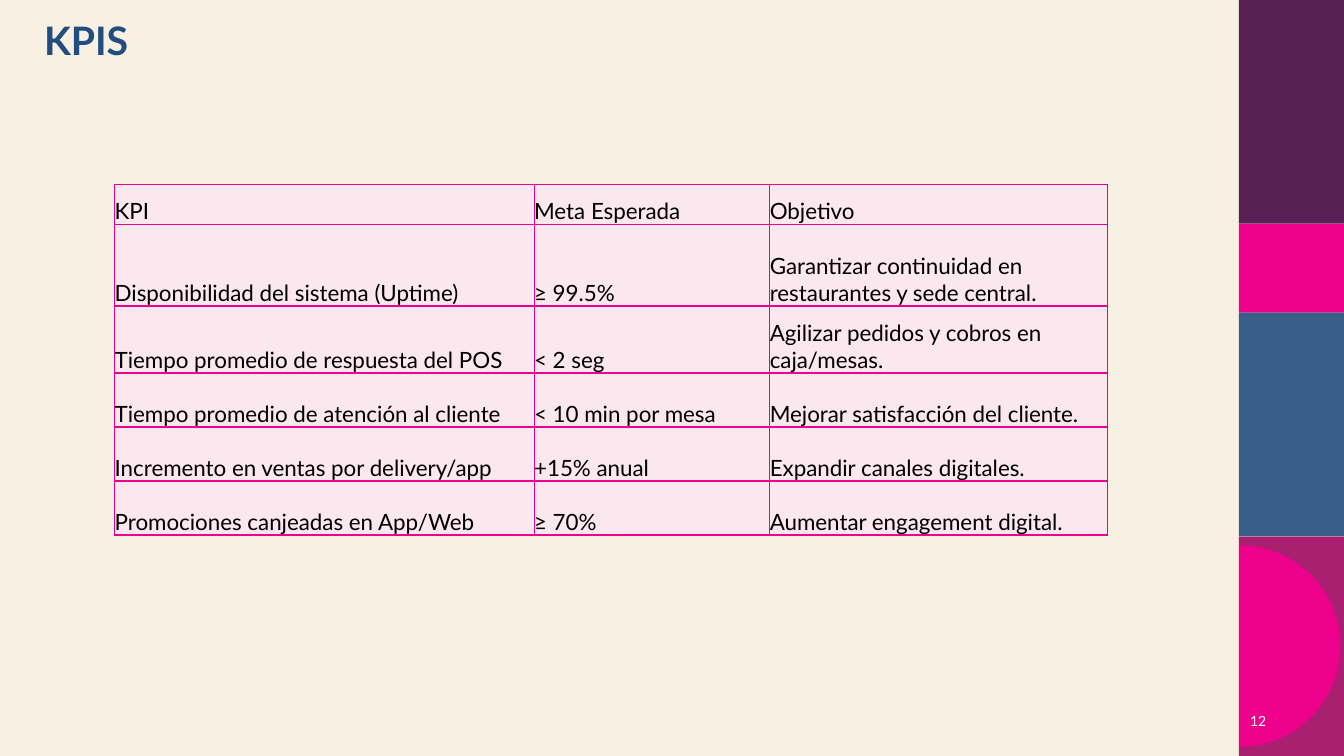
from dataclasses import dataclass
from math import cos, pi, sin

from lxml import etree
from pptx import Presentation
from pptx.dml.color import RGBColor
from pptx.enum.shapes import MSO_SHAPE
from pptx.enum.text import MSO_ANCHOR, PP_ALIGN
from pptx.oxml.ns import qn
from pptx.util import Cm, Pt

RECTANGLE = MSO_SHAPE.RECTANGLE
TOP, MIDDLE, BOTTOM = MSO_ANCHOR.TOP, MSO_ANCHOR.MIDDLE, MSO_ANCHOR.BOTTOM
LEFT, RIGHT = PP_ALIGN.LEFT, PP_ALIGN.RIGHT

SIDE_LEFT, SIDE_WIDTH = 31.22, 2.65
COLUMN_WIDTHS = [10.57, 5.94, 8.5]
ROW_HEIGHTS = [1.02, 2.05, 1.69, 1.36, 1.36, 1.36]
KPI_ROWS = [
    ("KPI", "Meta Esperada", "Objetivo"),
    ("Disponibilidad del sistema (Uptime)", "≥ 99.5%",
     "Garantizar continuidad en restaurantes y sede central."),
    ("Tiempo promedio de respuesta del POS", "< 2 seg",
     "Agilizar pedidos y cobros en caja/mesas."),
    ("Tiempo promedio de atención al cliente", "< 10 min por mesa",
     "Mejorar satisfacción del cliente."),
    ("Incremento en ventas por delivery/app", "+15% anual", "Expandir canales digitales."),
    ("Promociones canjeadas en App/Web", "≥ 70%", "Aumentar engagement digital."),
]


@dataclass(frozen=True)
class Theme:
    font: str = "Lato"
    background: str = "F8F0E3"
    purple: str = "582156"
    pink: str = "EC008C"
    blue: str = "385E88"
    berry: str = "AA2070"
    cell: str = "FBE7EE"
    title: str = "224E7F"
    black: str = "000000"
    white: str = "FFFFFF"
    title_size: int = 28
    table_size: int = 16
    number_size: int = 10


class SlideBuilder:
    """Draws styled elements on the current slide."""

    def __init__(self, slide, theme):
        self.slide, self.theme = slide, theme

    def fill(self, target, color):
        target.fill.solid()
        target.fill.fore_color.rgb = RGBColor.from_string(color)

    def paint(self, shape, color):
        self.fill(shape, color)
        shape.line.fill.background()
        shape.shadow.inherit = False

    def band(self, top, height, color):
        box = self.slide.shapes.add_shape(
            RECTANGLE, Cm(SIDE_LEFT), Cm(top), Cm(SIDE_WIDTH), Cm(height))
        self.paint(box, color)

    def half_circle(self, left, middle, radius, color, steps=90):
        angles = [pi * step / steps - pi / 2 for step in range(steps + 1)]
        points = [(Cm(left + radius * cos(angle)), Cm(middle + radius * sin(angle)))
                  for angle in angles]
        outline = self.slide.shapes.build_freeform(*points[0])
        outline.add_line_segments(points[1:], close=True)
        self.paint(outline.convert_to_shape(), color)

    def add_span(self, para, text, size, color, bold=False, **layout):
        span = para.add_run()
        span.text = text
        span.font.color.rgb = RGBColor.from_string(color)
        font_format = {"name": self.theme.font, "size": Pt(size), "bold": bold}
        for target, values in ((span.font, font_format), (para, layout)):
            for name, value in values.items():
                setattr(target, name, value)

    def text(self, place, text, size, color, anchor=TOP, **style):
        frame = self.slide.shapes.add_textbox(*map(Cm, place)).text_frame
        frame.word_wrap = True
        frame.vertical_anchor = anchor
        self.add_span(frame.paragraphs[0], text, size, color, **style)

    def border(self, cell, color, width):
        properties = cell._tc.get_or_add_tcPr()
        for index, side in enumerate(("lnL", "lnR", "lnT", "lnB")):
            line = etree.Element(qn(f"a:{side}"), w=str(Pt(width)))
            paint = etree.SubElement(line, qn("a:solidFill"))
            etree.SubElement(paint, qn("a:srgbClr"), val=color)
            properties.insert(index, line)

    def table(self, left, top, rows):
        place = (left, top, sum(COLUMN_WIDTHS), sum(ROW_HEIGHTS))
        table = self.slide.shapes.add_table(
            len(rows), len(COLUMN_WIDTHS), *map(Cm, place)).table
        for column, width in zip(table.columns, COLUMN_WIDTHS):
            column.width = Cm(width)
        cell_format = {"vertical_anchor": BOTTOM, "margin_left": 0, "margin_right": 0,
                       "margin_top": 0, "margin_bottom": 0}
        for row, height, texts in zip(table.rows, ROW_HEIGHTS, rows):
            row.height = Cm(height)
            for cell, text in zip(row.cells, texts):
                for name, value in cell_format.items():
                    setattr(cell, name, value)
                self.fill(cell, self.theme.cell)
                self.border(cell, self.theme.pink, 1)
                self.add_span(cell.text_frame.paragraphs[0], text, self.theme.table_size,
                              self.theme.black, alignment=LEFT)


def main():
    theme = Theme()
    deck = Presentation()
    deck.slide_width, deck.slide_height = Cm(33.87), Cm(19.05)
    page = deck.slides.add_slide(deck.slide_layouts[6])
    builder = SlideBuilder(page, theme)
    builder.fill(page.background, theme.background)

    top = 0
    for height, color in ((5.64, theme.purple), (2.24, theme.pink),
                          (5.64, theme.blue), (5.53, theme.berry)):
        builder.band(top, height, color)
        top += height
    builder.half_circle(31.24, 16.28, 2.54, theme.pink)

    builder.text((0.86, 0.41, 27.69, 2.03), "KPIS", theme.title_size, theme.title,
                 bold=True, line_spacing=0.9)
    builder.text((30.89, 17.65, 1.27, 1.02), "12", theme.number_size, theme.white,
                 anchor=MIDDLE, alignment=RIGHT)
    builder.table(2.89, 4.64, KPI_ROWS)
    deck.save("out.pptx")


if __name__ == "__main__":
    main()
